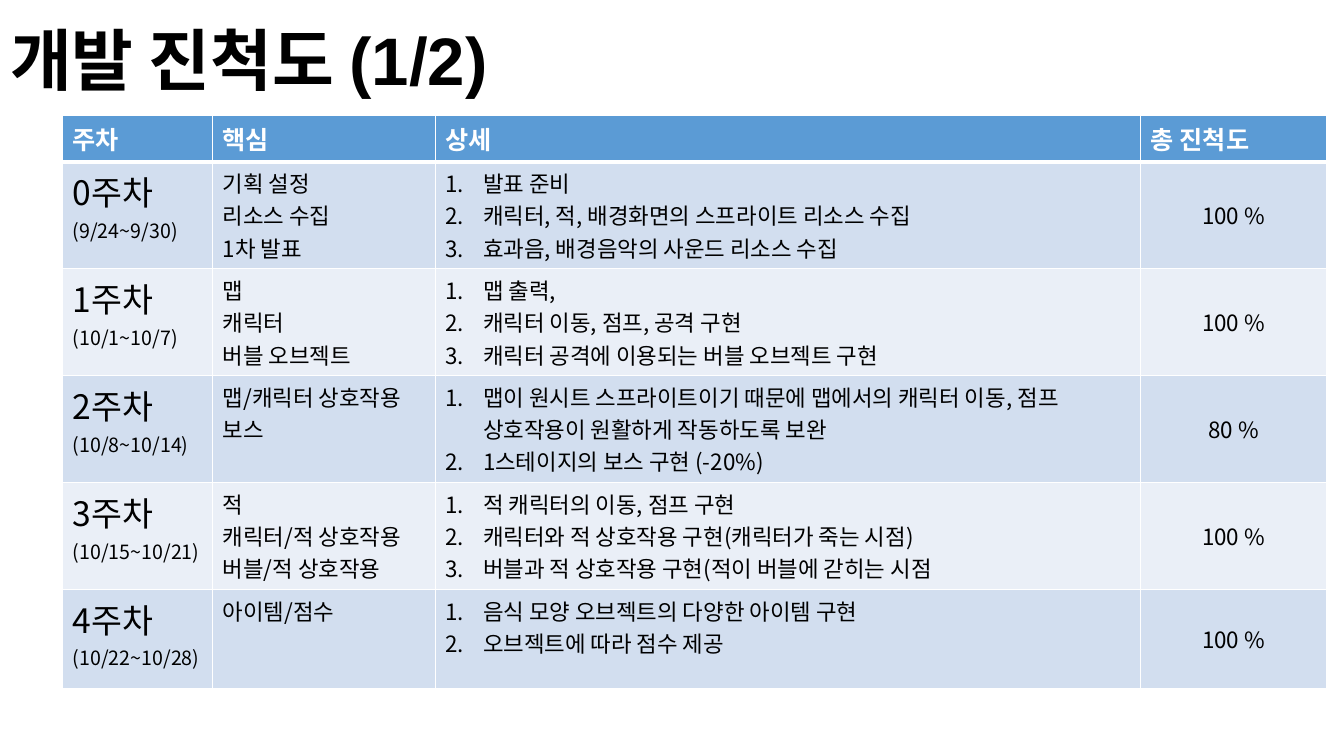
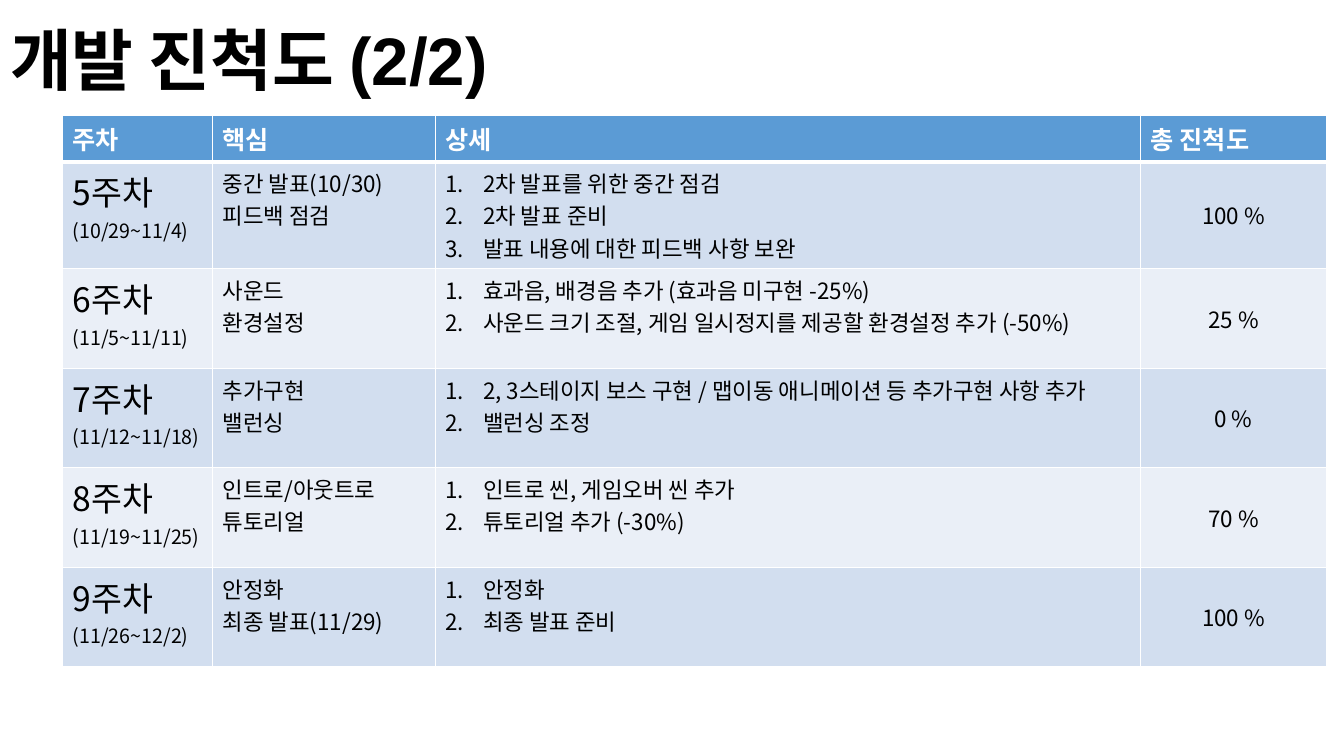
"""Builds two slides that report the weekly development progress."""
from lxml import etree
from pptx import Presentation
from pptx import util as u
from pptx.dml.color import RGBColor
from pptx.enum import text
from pptx.oxml.ns import qn

HEADERS = ["주차", "핵심", "상세", "총 진척도"]
SLIDES = [
    ("개발 진척도 (1/2)", [
        ("0주차", "(9/24~9/30)", ["기획 설정", "리소스 수집", "1차 발표"],
         ["발표 준비", "캐릭터, 적, 배경화면의 스프라이트 리소스 수집",
          "효과음, 배경음악의 사운드 리소스 수집"], 100),
        ("1주차", "(10/1~10/7)", ["맵", "캐릭터", "버블 오브젝트"],
         ["맵 출력,", "캐릭터 이동, 점프, 공격 구현",
          "캐릭터 공격에 이용되는 버블 오브젝트 구현"], 100),
        ("2주차", "(10/8~10/14)", ["맵/캐릭터 상호작용", "보스"],
         ["맵이 원시트 스프라이트이기 때문에 맵에서의 캐릭터 이동, 점프 "
          "상호작용이 원활하게 작동하도록 보완",
          "1스테이지의 보스 구현 (-20%)"], 80),
        ("3주차", "(10/15~10/21)",
         ["적", "캐릭터/적 상호작용", "버블/적 상호작용"],
         ["적 캐릭터의 이동, 점프 구현",
          "캐릭터와 적 상호작용 구현(캐릭터가 죽는 시점)",
          "버블과 적 상호작용 구현(적이 버블에 갇히는 시점"], 100),
        ("4주차", "(10/22~10/28)", ["아이템/점수"],
         ["음식 모양 오브젝트의 다양한 아이템 구현",
          "오브젝트에 따라 점수 제공"], 100),
    ]),
    ("개발 진척도 (2/2)", [
        ("5주차", "(10/29~11/4)", ["중간 발표(10/30)", "피드백 점검"],
         ["2차 발표를 위한 중간 점검", "2차 발표 준비",
          "발표 내용에 대한 피드백 사항 보완"], 100),
        ("6주차", "(11/5~11/11)", ["사운드", "환경설정"],
         ["효과음, 배경음 추가 (효과음 미구현 -25%)",
          "사운드 크기 조절, 게임 일시정지를 제공할 환경설정 추가 (-50%)"],
         25),
        ("7주차", "(11/12~11/18)", ["추가구현", "밸런싱"],
         ["2, 3스테이지 보스 구현 / 맵이동 애니메이션 등 추가구현 사항 추가",
          "밸런싱 조정"], 0),
        ("8주차", "(11/19~11/25)", ["인트로/아웃트로", "튜토리얼"],
         ["인트로 씬, 게임오버 씬 추가", "튜토리얼 추가 (-30%)"], 70),
        ("9주차", "(11/26~12/2)", ["안정화", "최종 발표(11/29)"],
         ["안정화", "최종 발표 준비"], 100),
    ]),
]
COLORS = {"header": "5B9BD5", "odd": "D2DEEF", "even": "EAEFF7",
          "white": "FFFFFF", "black": "000000"}
KOREAN_FONT = "Noto Sans CJK KR"
COLUMN_WIDTHS = [3.78, 5.61, 17.78, 4.67]
HEADER_HEIGHT, WEEK_HEIGHT = 1.12, 2.51
TABLE_LEFT, TABLE_TOP = 1.58, 2.9
THIN, THICK = 1, 3


def style(para, size, color, bold=False, font=KOREAN_FONT):
    for span in para.runs:
        span.font.size = u.Pt(size)
        span.font.bold = bold
        span.font.name = font
        span.font.color.rgb = RGBColor.from_string(COLORS[color])
        east_asian = etree.SubElement(span.font._element, qn("a:ea"))
        east_asian.set("typeface", KOREAN_FONT)


def number(para):
    properties = para._p.get_or_add_pPr()
    properties.set("marL", str(u.Cm(0.95)))
    properties.set("indent", str(-u.Cm(0.95)))
    bullet = etree.SubElement(properties, qn("a:buAutoNum"))
    bullet.set("type", "arabicPeriod")


def set_borders(cell, top, bottom):
    properties = cell._tc.get_or_add_tcPr()
    widths = {"L": THIN, "R": THIN, "T": top, "B": bottom}
    for position, (side, width) in enumerate(widths.items()):
        line = etree.Element(qn("a:ln" + side), w=str(u.Pt(width)))
        fill = etree.SubElement(line, qn("a:solidFill"))
        etree.SubElement(fill, qn("a:srgbClr"), val=COLORS["white"])
        properties.insert(position, line)


def fill_cell(cell, lines, sizes, fill, color="black", bold=False):
    cell.fill.solid()
    cell.fill.fore_color.rgb = RGBColor.from_string(COLORS[fill])
    cell.text_frame.text = "\n".join(lines)
    for para, size in zip(cell.text_frame.paragraphs, sizes):
        style(para, size, color, bold)


def add_title(page, title):
    box = page.shapes.title
    box.left, box.top = u.Cm(0), u.Cm(0.33)
    box.width, box.height = u.Cm(14.22), u.Cm(2.31)
    frame = box.text_frame
    frame.text = title
    frame.word_wrap = False
    frame.auto_size = text.MSO_AUTO_SIZE.NONE
    frame.vertical_anchor = text.MSO_ANCHOR.TOP
    frame.paragraphs[0].alignment = text.PP_ALIGN.LEFT
    style(frame.paragraphs[0], 48, "black", True, "Arial")


def add_progress_table(page, weeks):
    height = HEADER_HEIGHT + WEEK_HEIGHT * len(weeks)
    table = page.shapes.add_table(
        len(weeks) + 1, len(HEADERS), u.Cm(TABLE_LEFT), u.Cm(TABLE_TOP),
        u.Cm(sum(COLUMN_WIDTHS)), u.Cm(height)).table
    table.horz_banding = False
    for column, width in zip(table.columns, COLUMN_WIDTHS):
        column.width = u.Cm(width)
    for index, row in enumerate(table.rows):
        row.height = u.Cm(WEEK_HEIGHT if index else HEADER_HEIGHT)
        for cell in row.cells:
            set_borders(cell, THICK if index == 1 else THIN,
                        THIN if index else THICK)
    for column, header in enumerate(HEADERS):
        fill_cell(table.cell(0, column), [header], [18], "header", "white", True)
    for row, (week, dates, topics, details, percent) in enumerate(weeks, 1):
        fill = "odd" if row % 2 else "even"
        week_cell, topic_cell, detail_cell, progress_cell = table.rows[row].cells
        fill_cell(week_cell, [week, dates], [24, 14], fill)
        fill_cell(topic_cell, topics, [16] * len(topics), fill)
        fill_cell(detail_cell, details, [16] * len(details), fill)
        for para in detail_cell.text_frame.paragraphs:
            number(para)
        fill_cell(progress_cell, [f"{percent} %"], [16], fill)
        progress_cell.vertical_anchor = text.MSO_ANCHOR.MIDDLE
        progress_cell.text_frame.paragraphs[0].alignment = text.PP_ALIGN.CENTER


deck = Presentation()
deck.slide_width, deck.slide_height = u.Cm(33.87), u.Cm(19.05)
for title, weeks in SLIDES:
    page = deck.slides.add_slide(deck.slide_layouts.get_by_name("Title Only"))
    add_progress_table(page, weeks)
    add_title(page, title)
deck.save("out.pptx")
